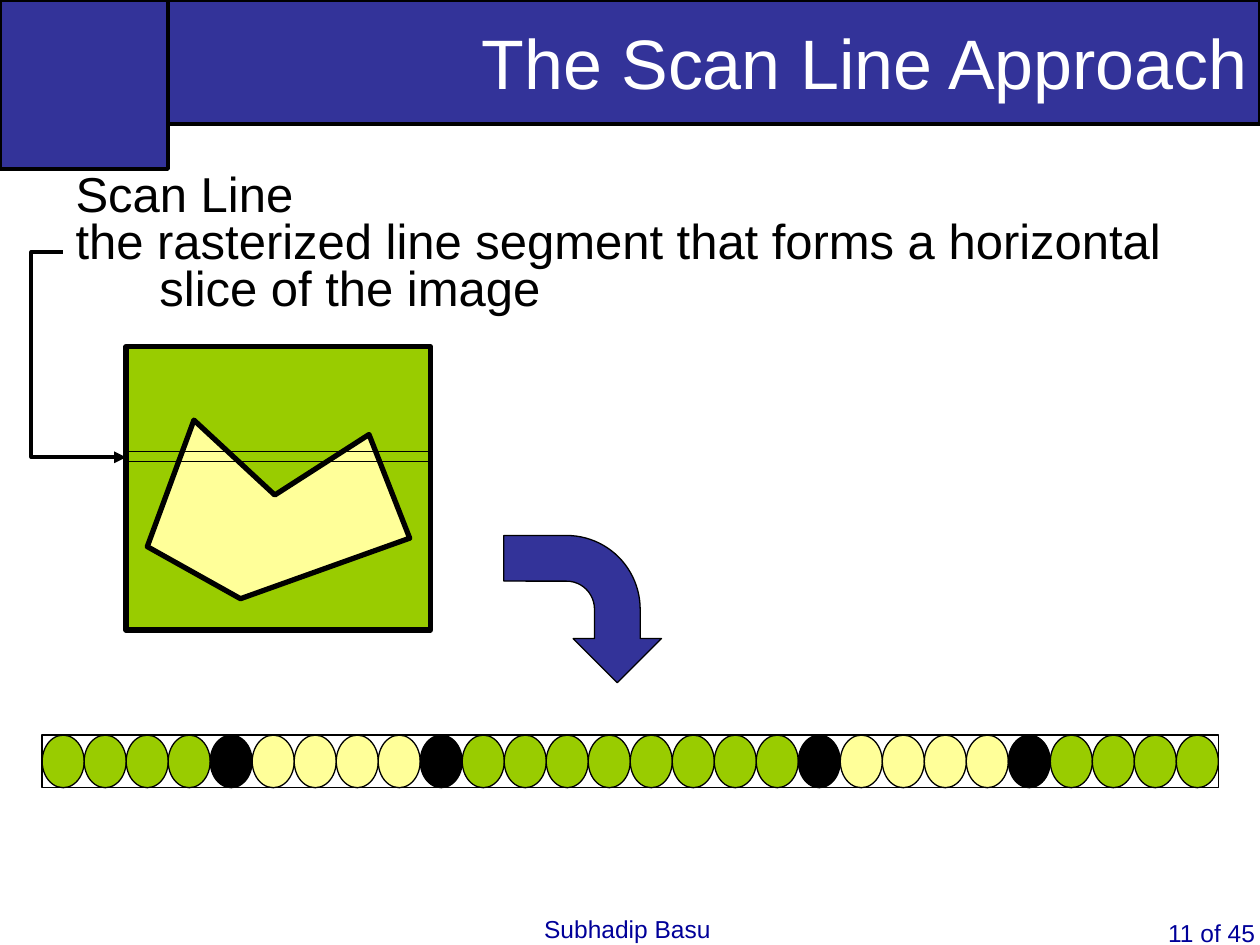
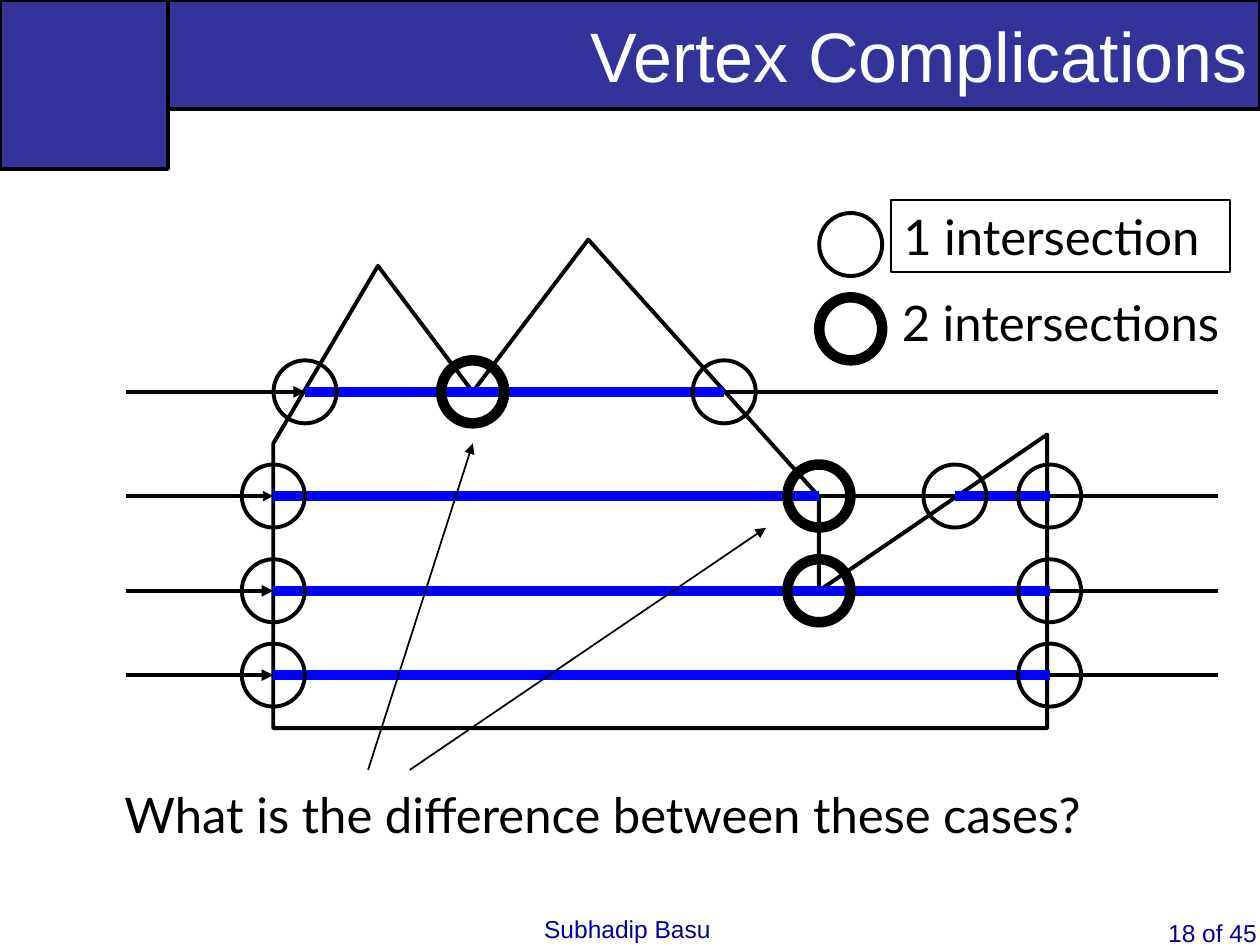
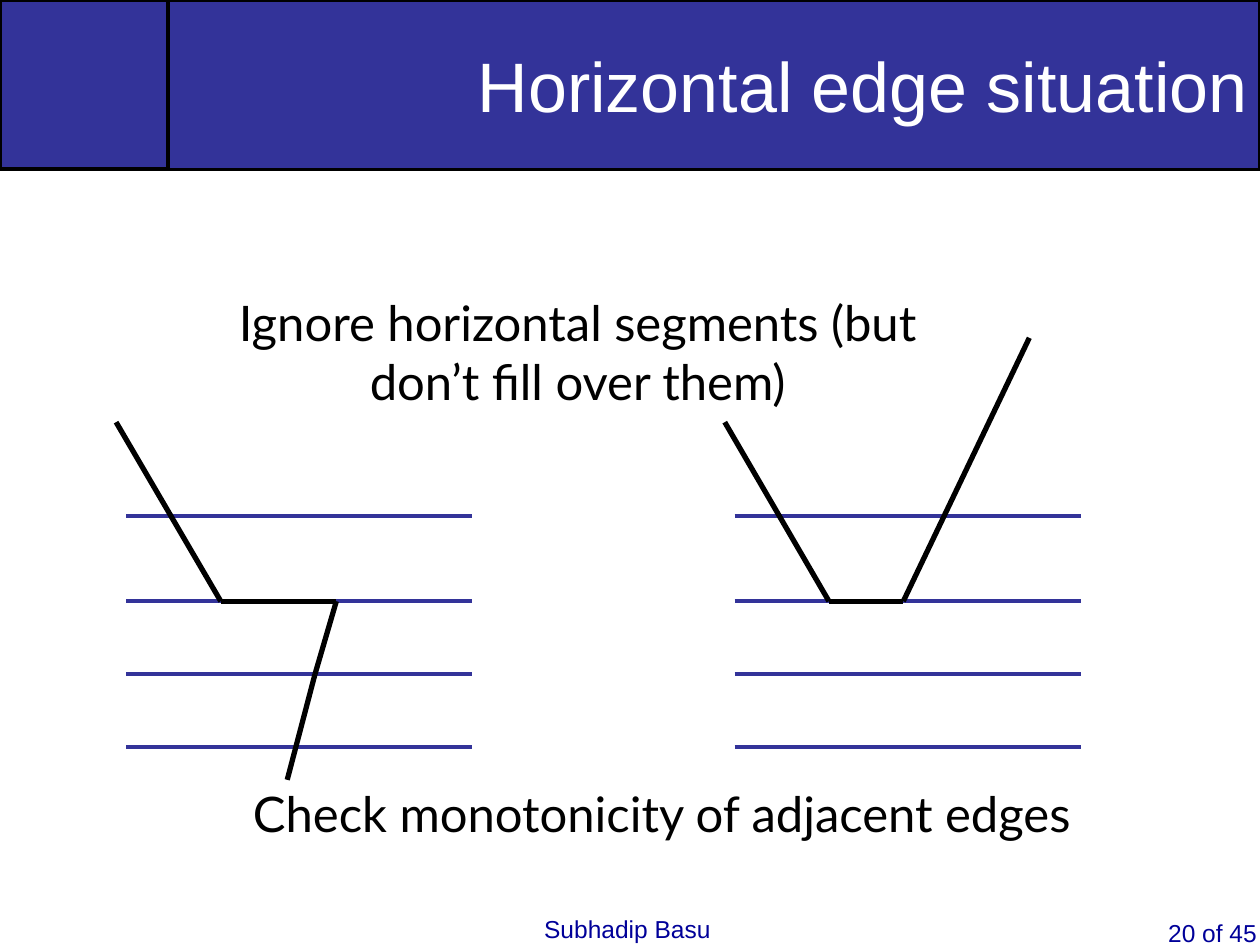
from dataclasses import dataclass
from itertools import pairwise
from typing import NamedTuple

from lxml import etree
from pptx import Presentation
from pptx.dml.color import RGBColor
from pptx.enum.shapes import MSO_CONNECTOR, MSO_SHAPE
from pptx.enum.text import MSO_ANCHOR, MSO_AUTO_SIZE, PP_ALIGN
from pptx.oxml.ns import qn
from pptx.util import Cm, Pt

RECTANGLE = MSO_SHAPE.RECTANGLE
OVAL = MSO_SHAPE.OVAL
BENT_ARROW = MSO_SHAPE.BENT_ARROW
STRAIGHT = MSO_CONNECTOR.STRAIGHT
ELBOW = MSO_CONNECTOR.ELBOW
LEFT, CENTER, RIGHT = PP_ALIGN.LEFT, PP_ALIGN.CENTER, PP_ALIGN.RIGHT
TOP, MIDDLE = MSO_ANCHOR.TOP, MSO_ANCHOR.MIDDLE
NO_AUTO_SIZE = MSO_AUTO_SIZE.NONE

COLORS = {
    "band": "333399",
    "footer": "000099",
    "ink": "000000",
    "title": "FFFFFF",
    "outside": "99CC00",
    "inside": "FFFF99",
    "span": "0000FF",
}
HEADING_FONT = "Arial"
LABEL_FONT = "Lato"
TITLE_LAYOUT, BODY_LAYOUT = 5, 1
PAGE_TOTAL = 45
BAND_LEFT = 3.39
RING_SIZE = 1.27
THIN, THICK = 2.25, 6
SCAN_LEFT, SCAN_RIGHT = 2.54, 24.56


class Area(NamedTuple):
    left: float
    top: float
    width: float
    height: float

    def lengths(self) -> list:
        return [Cm(value) for value in self]


class Point(NamedTuple):
    x: float
    y: float


class Crossing(NamedTuple):
    x: float
    double: bool = False
    filled_after: bool = False


@dataclass(frozen=True)
class ScanLine:
    y: float
    weight: float
    crossings: tuple[Crossing, ...]


@dataclass(frozen=True)
class Label:
    text: str
    area: Area
    align: PP_ALIGN = LEFT


SCAN_LINES = (
    ScanLine(7.9, 2.25, (Crossing(6.15, False, True), Crossing(9.53, True, True), Crossing(14.6))),
    ScanLine(10, 2, (Crossing(5.51, False, True), Crossing(16.51, True),
                     Crossing(19.25, False, True), Crossing(21.16))),
    ScanLine(11.91, 2.25, (Crossing(5.51, False, True), Crossing(16.51, True, True), Crossing(21.16))),
    ScanLine(13.61, 2.25, (Crossing(5.51, False, True), Crossing(21.16))),
)
VERTEX_OUTLINE = (
    Point(5.51, 14.68), Point(5.51, 8.94), Point(7.62, 5.36), Point(9.53, 7.9), Point(11.86, 4.83),
    Point(16.51, 10.01), Point(16.51, 11.91), Point(21.11, 8.76), Point(21.11, 14.68),
)
IMAGE_POLYGON = (
    Point(2.97, 11.02), Point(3.91, 8.47), Point(5.54, 9.98),
    Point(7.44, 8.76), Point(8.26, 10.85), Point(4.85, 12.07),
)
POINTERS = (
    (Point(7.42, 15.52), Point(9.53, 8.94)),
    (Point(8.26, 15.52), Point(15.44, 10.64)),
)
VERTEX_LABELS = (
    Label("2 intersections", Area(17.93, 5.77, 7.29, 1.45)),
    Label("What is the difference between these cases?", Area(2.26, 15.7, 20.96, 1.45)),
)
EDGE_LABELS = (
    Label("Ignore horizontal segments (but don’t fill over them)", Area(3.81, 5.77, 15.67, 2.64), CENTER),
    Label("Check monotonicity of adjacent edges", Area(3.18, 15.67, 20.32, 1.45), CENTER),
)
EDGE_CHAINS = (
    (Point(2.34, 8.51), Point(4.45, 12.12), Point(6.78, 12.12), Point(6.35, 13.59), Point(5.79, 15.72)),
    (Point(14.61, 8.51), Point(16.71, 12.12), Point(18.21, 12.12), Point(20.75, 6.81)),
)
EDGE_SCAN_HEIGHTS = (10.41, 12.12, 13.59, 15.06)
EDGE_SCAN_STARTS = (2.54, 14.81)
EDGE_SCAN_WIDTH = 6.98
BEADS = (("outside", 4), ("ink", 1), ("inside", 4), ("ink", 1), ("outside", 8),
         ("ink", 1), ("inside", 4), ("ink", 1), ("outside", 4))


def color(name: str) -> RGBColor:
    return RGBColor.from_string(COLORS[name])


def write_text(box, text: str, *, font: str = LABEL_FONT, size: float = 28, ink: str = "ink",
               align: PP_ALIGN = LEFT, anchor: MSO_ANCHOR = TOP, wrap: bool = True,
               spacing: float = 1, hanging: float = 0) -> None:
    frame = box.text_frame
    frame.word_wrap = wrap
    frame.auto_size = NO_AUTO_SIZE
    frame.vertical_anchor = anchor
    frame.text = text
    for para in frame.paragraphs:
        if hanging:
            properties = para._p.get_or_add_pPr()
            properties.set("marL", str(Cm(hanging)))
            properties.set("indent", str(-Cm(hanging)))
            etree.SubElement(properties, qn("a:buNone"))
        para.alignment = align
        para.line_spacing = spacing
        para.space_before = Pt(0)
        for span in para.runs:
            span.font.name = font
            span.font.size = Pt(size)
            span.font.color.rgb = color(ink)


def paint(shape, fill: str | None, weight: float) -> None:
    if fill:
        shape.fill.solid()
        shape.fill.fore_color.rgb = color(fill)
    else:
        shape.fill.background()
    shape.line.color.rgb = color("ink")
    shape.line.width = Pt(weight)


def draw_shape(shapes, kind: MSO_SHAPE, area: Area, fill: str | None = None, weight: float = 0.75):
    shape = shapes.add_shape(kind, *area.lengths())
    shape.shadow.inherit = False
    paint(shape, fill, weight)
    return shape


def draw_polygon(page, points: tuple[Point, ...], fill: str | None, weight: float) -> None:
    corners = [(Cm(point.x), Cm(point.y)) for point in points]
    builder = page.shapes.build_freeform(*corners[0])
    builder.add_line_segments(corners[1:], close=True)
    shape = builder.convert_to_shape()
    shape.shadow.inherit = False
    paint(shape, fill, weight)


def draw_line(page, start: Point, end: Point, ink: str = "ink", weight: float = THIN,
              arrow: bool = False, kind: MSO_CONNECTOR = STRAIGHT):
    line = page.shapes.add_connector(kind, Cm(start.x), Cm(start.y), Cm(end.x), Cm(end.y))
    line.line.color.rgb = color(ink)
    line.line.width = Pt(weight)
    properties = line._element.spPr
    if arrow:
        etree.SubElement(properties.find(qn("a:ln")), qn("a:tailEnd"), type="triangle")
    etree.SubElement(properties, qn("a:effectLst"))
    return line


def draw_ring(page, center: Point, double: bool) -> None:
    half = RING_SIZE / 2
    area = Area(center.x - half, center.y - half, RING_SIZE, RING_SIZE)
    draw_shape(page.shapes, OVAL, area, weight=THICK if double else THIN)


def draw_label(page, label: Label, **style) -> None:
    box = page.shapes.add_textbox(*label.area.lengths())
    write_text(box, label.text, align=label.align, **style)


def place(placeholder, area: Area) -> None:
    placeholder.left, placeholder.top, placeholder.width, placeholder.height = area.lengths()


def add_page(deck, title: str, number: int, band_height: float, layout: int = TITLE_LAYOUT):
    page = deck.slides.add_slide(deck.slide_layouts[layout])
    heading = page.shapes.title
    place(heading, Area(BAND_LEFT, 0, 25.4 - BAND_LEFT, band_height))
    paint(heading, "band", 2)
    write_text(heading, title, font=HEADING_FONT, size=40, ink="title", align=RIGHT, anchor=MIDDLE)
    draw_shape(page.shapes, RECTANGLE, Area(0, 0, BAND_LEFT, 3.41), "band", 2)
    footers = (
        Label(f"{number} of {PAGE_TOTAL}", Area(23.3, 18.38, 2.49, 1.45)),
        Label("Subhadip Basu", Area(10.72, 18.31, 3.86, 0.86)),
    )
    for footer in footers:
        draw_label(page, footer, font=HEADING_FONT, size=14, ink="footer", wrap=False)
    return page


def draw_beads(page) -> None:
    strip = Area(0.85, 14.82, 23.71, 1.06)
    fills = [fill for fill, count in BEADS for _ in range(count)]
    width = strip.width / len(fills)
    group = page.shapes.add_group_shape()
    draw_shape(group.shapes, RECTANGLE, strip)
    for index, fill in enumerate(fills):
        bead = Area(strip.left + index * width, strip.top, width, strip.height)
        draw_shape(group.shapes, OVAL, bead, fill)


def build_scan_line_page(deck) -> None:
    page = add_page(deck, "The Scan Line Approach", 11, 2.5, BODY_LAYOUT)
    body = page.placeholders[1]
    place(body, Area(1.27, 3.39, 22.86, 3.39))
    write_text(
        body,
        "Scan Line\nthe rasterized line segment that forms a horizontal slice of the image",
        font=HEADING_FONT, spacing=0.8, hanging=1.69,
    )
    draw_shape(page.shapes, RECTANGLE, Area(2.54, 6.99, 6.14, 5.71), "outside", 3)
    draw_polygon(page, IMAGE_POLYGON, "inside", 3)
    draw_shape(page.shapes, RECTANGLE, Area(2.54, 9.1, 6.14, 0.21))
    draw_beads(page)
    turn = draw_shape(page.shapes, BENT_ARROW, Area(10.26, 10.69, 2.97, 3.18), "band")
    turn.rotation = 90
    for index, value in enumerate((0.31, 0.3, 0.3, 0.5)):
        turn.adjustments[index] = value
    callout = draw_line(page, Point(1.27, 5.08), Point(2.54, 9.22), arrow=True, kind=ELBOW)
    guides = callout._element.spPr.find(qn("a:prstGeom")).get_or_add_avLst()
    etree.SubElement(guides, qn("a:gd"), name="adj1", fmla="val -50000")


def build_vertex_page(deck) -> None:
    page = add_page(deck, "Vertex Complications", 18, 2.2)
    draw_polygon(page, VERTEX_OUTLINE, None, THIN)
    for scan in SCAN_LINES:
        first = scan.crossings[0]
        draw_line(page, Point(SCAN_LEFT, scan.y), Point(first.x, scan.y), weight=scan.weight, arrow=True)
        for here, after in pairwise((*scan.crossings, Crossing(SCAN_RIGHT))):
            ink, weight = ("span", THICK) if here.filled_after else ("ink", scan.weight)
            draw_line(page, Point(here.x, scan.y), Point(after.x, scan.y), ink, weight)
        for crossing in scan.crossings:
            draw_ring(page, Point(crossing.x, scan.y), crossing.double)
    for height, double in ((4.93, False), (6.63, True)):
        draw_ring(page, Point(17.15, height), double)
    single = draw_shape(page.shapes, RECTANGLE, Area(17.96, 4.04, 6.83, 1.45), weight=1)
    write_text(single, "1 intersection")
    for label in VERTEX_LABELS:
        draw_label(page, label)
    for start, end in POINTERS:
        draw_line(page, start, end, weight=1, arrow=True)


def build_edge_page(deck) -> None:
    page = add_page(deck, "Horizontal edge situation", 20, 3.42)
    for left in EDGE_SCAN_STARTS:
        for height in EDGE_SCAN_HEIGHTS:
            draw_line(page, Point(left, height), Point(left + EDGE_SCAN_WIDTH, height), "band")
    for chain in EDGE_CHAINS:
        for start, end in pairwise(chain):
            draw_line(page, start, end, weight=3)
    for label in EDGE_LABELS:
        draw_label(page, label)


def main() -> None:
    deck = Presentation()
    deck.slide_width, deck.slide_height = Cm(25.4), Cm(19.05)
    build_scan_line_page(deck)
    build_vertex_page(deck)
    build_edge_page(deck)
    deck.save("out.pptx")


if __name__ == "__main__":
    main()
